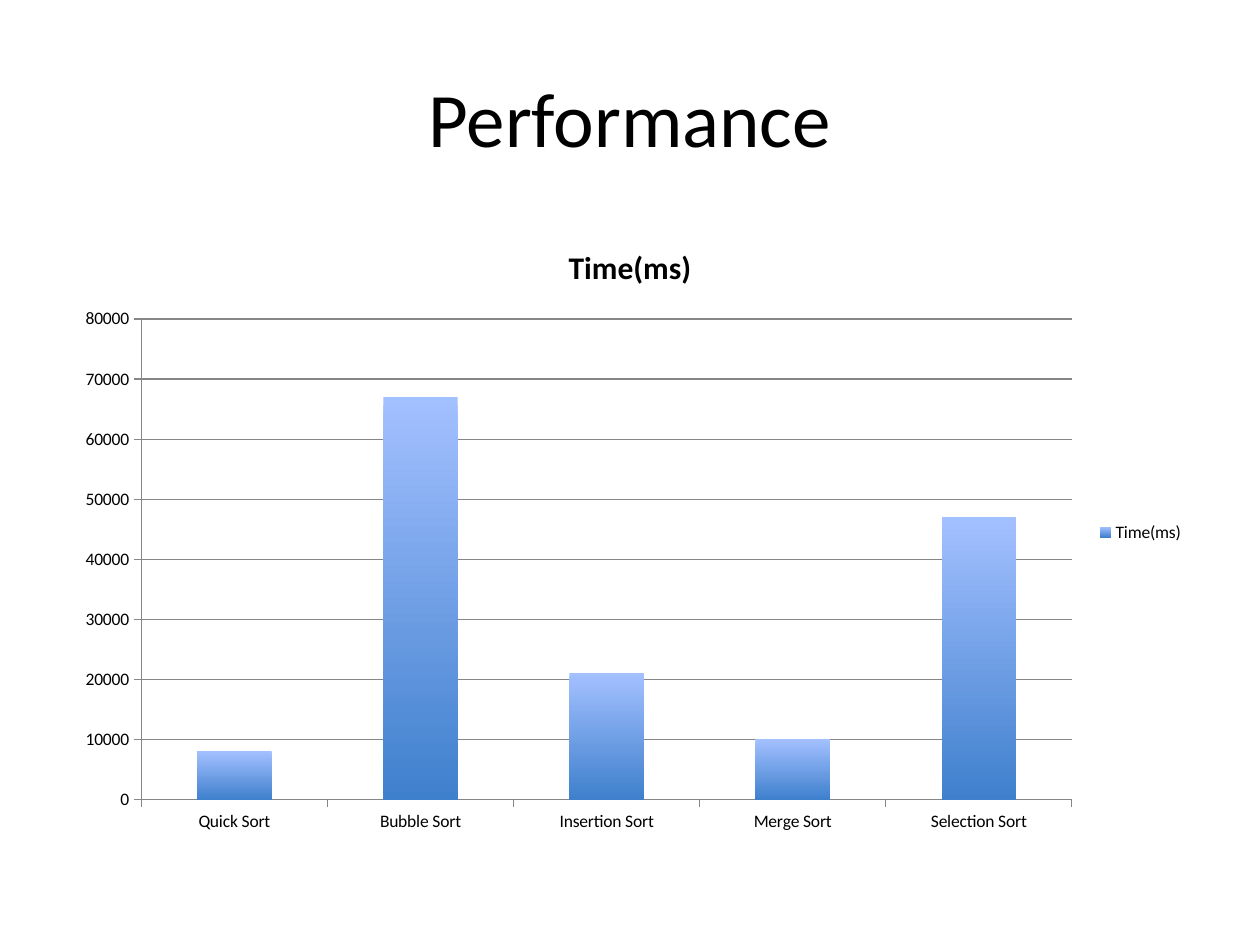
from pptx import Presentation
from pptx import util as u
from pptx.chart.data import CategoryChartData
from pptx.dml.color import RGBColor
from pptx.enum import chart as kinds, text

BLACK = RGBColor(0x00, 0x00, 0x00)
GRAY = RGBColor(0x86, 0x86, 0x86)
BAR_TOP = RGBColor(0xA3, 0xC0, 0xFF)
BAR_BOTTOM = RGBColor(0x3F, 0x80, 0xCD)
FONT = "Calibri"
SERIES = "Time(ms)"
TIMES = {
    "Quick Sort": 8000,
    "Bubble Sort": 67000,
    "Insertion Sort": 21000,
    "Merge Sort": 10000,
    "Selection Sort": 47000,
}


def style_font(font, size, bold=False):
    font.name, font.size, font.bold = FONT, u.Pt(size), bold
    font.color.rgb = BLACK


def style_line(line):
    line.color.rgb = GRAY
    line.width = u.Pt(0.75)


def place_title(page, box, words):
    title = page.shapes.title
    title.left, title.top, title.width, title.height = box
    frame = title.text_frame
    frame.text = words
    frame.vertical_anchor = text.MSO_ANCHOR.MIDDLE
    para = frame.paragraphs[0]
    para.alignment = text.PP_ALIGN.CENTER
    style_font(para.font, 44)


def place_time_chart(page, box):
    data = CategoryChartData()
    data.categories = list(TIMES)
    data.add_series(SERIES, list(TIMES.values()))
    chart = page.shapes.add_chart(
        kinds.XL_CHART_TYPE.COLUMN_CLUSTERED, *box, data).chart
    style_font(chart.font, 10)

    # Heading and legend
    chart.has_title = True
    heading = chart.chart_title.text_frame
    heading.text = SERIES
    style_font(heading.paragraphs[0].font, 18, bold=True)
    chart.has_legend = True
    chart.legend.position = kinds.XL_LEGEND_POSITION.RIGHT
    chart.legend.include_in_layout = False

    # Axes
    for axis in (chart.category_axis, chart.value_axis):
        axis.major_tick_mark = kinds.XL_TICK_MARK.OUTSIDE
        axis.minor_tick_mark = kinds.XL_TICK_MARK.NONE
        style_line(axis.format.line)
    values = chart.value_axis
    values.minimum_scale, values.maximum_scale = 0, 80000
    values.major_unit = 10000
    values.has_major_gridlines = True
    style_line(values.major_gridlines.format.line)

    # Bars, shaded from top to bottom
    plot = chart.plots[0]
    plot.gap_width = 150
    plot.vary_by_categories = False
    fill = plot.series[0].format.fill
    fill.gradient()
    fill.gradient_angle = 270
    for stop, color in zip(fill.gradient_stops, (BAR_TOP, BAR_BOTTOM)):
        stop.color.rgb = color


def build_performance_page(deck):
    page = deck.slides.add_slide(deck.slide_layouts[5])
    wide, high = deck.slide_width, deck.slide_height
    left, width = int(wide * 0.05), int(wide * 0.9)
    place_title(page, (left, int(high * 0.04), width, u.Inches(1.25)),
                "Performance")
    place_time_chart(page, (left, u.Inches(1.75), width, int(high * 0.66)))


deck = Presentation()
deck.slide_width, deck.slide_height = u.Inches(10), u.Inches(7.5)
build_performance_page(deck)
deck.save("out.pptx")
